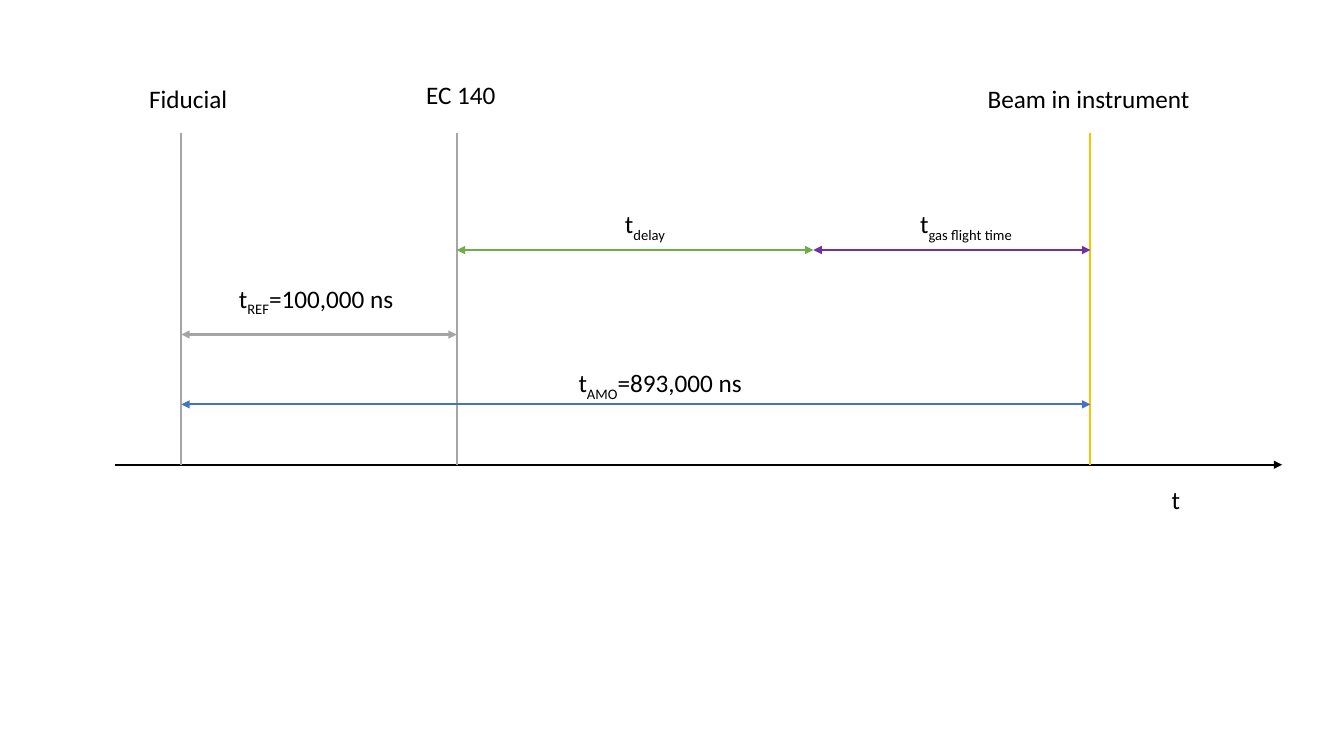
from lxml import etree
from pptx import Presentation
from pptx.dml.color import RGBColor
from pptx.enum import shapes, text
from pptx.oxml import ns
from pptx.util import Cm, Pt

BLACK, GREY, GOLD = "000000", "A5A5A5", "FFC000"
BLUE, GREEN, PURPLE = "4472C4", "70AD47", "7030A0"

# Distances in cm from the left and top of the diagram's box
FIDUCIAL, EC140, GAS_START, BEAM = 1.67, 8.61, 17.6, 24.58
MARK_TOP = 1.47

# Event marks: x, colour, label, label left, label top, label width
EVENTS = [
    (FIDUCIAL, GREY, "Fiducial", 0.61, 0.1, 2.51),
    (EC140, GREY, "EC 140", 7.59, 0, 2.29),
    (BEAM, GOLD, "Beam in instrument", 21.74, 0.1, 5.66),
]

# Intervals: start, end, y, colour, subscript, value, label left, top, width
INTERVALS = [
    (FIDUCIAL, EC140, 6.55, GREY, "REF", "=100,000 ns", 2.87, 5.13, 4.52),
    (FIDUCIAL, BEAM, 8.31, BLUE, "AMO", "=893,000 ns", 11.43, 7.26, 4.8),
    (EC140, GAS_START, 4.42, GREEN, "delay", "", 12.6, 3.25, 1.65),
    (GAS_START, BEAM, 4.42, PURPLE, "gas flight time", "", 20.04, 3.25, 3.23),
]


def rgb(code):
    return RGBColor.from_string(code)


def add_line(parent, start, end, color, arrows=()):
    line = parent.add_connector(
        shapes.MSO_CONNECTOR.STRAIGHT, *(Cm(v) for v in (*start, *end)))
    line.line.color.rgb = rgb(color)
    line.line.width = Pt(1.5)
    outline = line.line._get_or_add_ln()
    for arrow in arrows:
        etree.SubElement(outline, ns.qn(f"a:{arrow}"), type="triangle")
    etree.SubElement(line._element.spPr, ns.qn("a:effectLst"))


def add_label(parent, left, top, width, main, subscript="", rest=""):
    box = parent.add_textbox(Cm(left), Cm(top), Cm(width), Cm(1.03))
    frame = box.text_frame
    frame.word_wrap = False
    frame.auto_size = text.MSO_AUTO_SIZE.SHAPE_TO_FIT_TEXT
    para = frame.paragraphs[0]
    for words in filter(None, (main, subscript, rest)):
        span = para.add_run()
        span.text = words
        span.font.name = "Calibri"
        span.font.size = Pt(18)
        span.font.color.rgb = rgb(BLACK)
        if words == subscript:
            span.font._element.set("baseline", "-25000")


def add_timeline(page, left, top, width, axis_drop):
    parent = page.shapes.add_group_shape().shapes
    axis = top + axis_drop

    # Time axis
    add_line(parent, (left, axis), (left + width, axis), BLACK, ["tailEnd"])
    add_label(parent, left + 26.38, axis + 0.38, 0.74, "t")

    # Event marks
    for x, color, name, label_x, label_y, label_width in EVENTS:
        add_line(parent, (left + x, top + MARK_TOP), (left + x, axis), color)
        add_label(parent, left + label_x, top + label_y, label_width, name)

    # Intervals between events
    for start, end, y, color, sub, value, label_x, label_y, label_width in INTERVALS:
        add_line(parent, (left + start, top + y), (left + end, top + y),
                 color, ["headEnd", "tailEnd"])
        add_label(parent, left + label_x, top + label_y, label_width,
                  "t", sub, value)


deck = Presentation()
deck.slide_width, deck.slide_height = Cm(33.87), Cm(19.05)
page = deck.slides.add_slide(deck.slide_layouts[6])
add_timeline(page, left=2.9, top=1.88, width=29.41, axis_drop=9.83)
deck.save("out.pptx")
